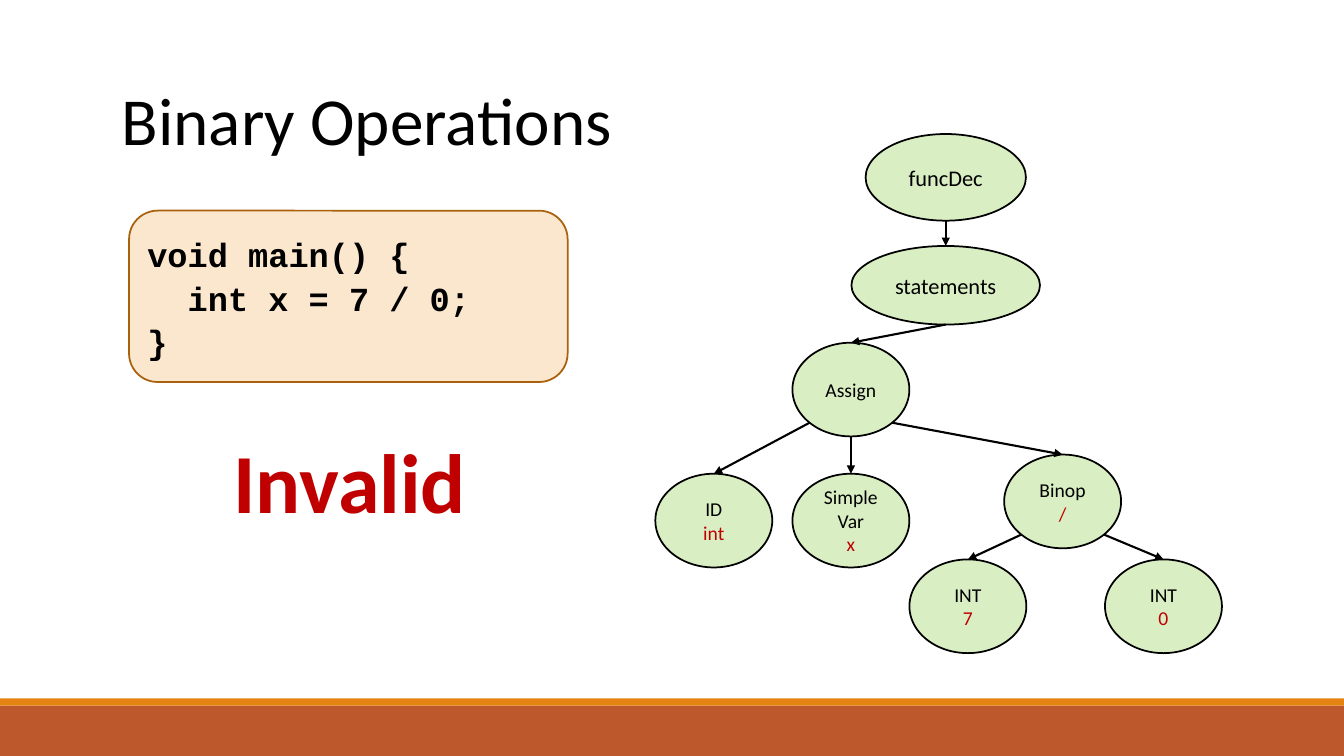
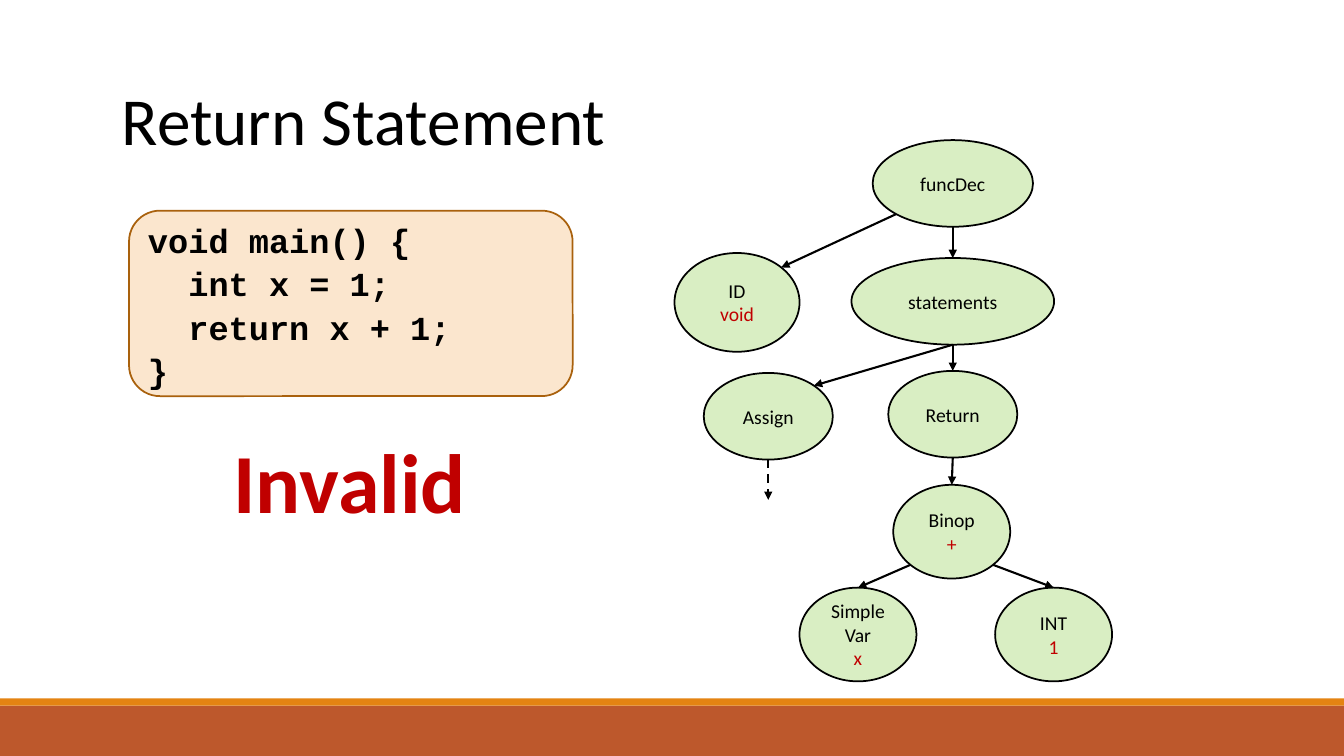
from lxml import etree
from pptx import Presentation
from pptx import util as u
from pptx.dml.color import RGBColor
from pptx.enum import dml, shapes, text
from pptx.oxml.ns import qn

BLACK = RGBColor(0x00, 0x00, 0x00)
RED = RGBColor(0xC0, 0x00, 0x00)
GREEN = RGBColor(0x92, 0xD0, 0x50)
CREAM = RGBColor(0xFB, 0xE6, 0xCE)
BROWN = RGBColor(0xA9, 0x61, 0x0D)
RUST = RGBColor(0xBD, 0x58, 0x2C)
ORANGE = RGBColor(0xE4, 0x83, 0x12)

SANS, MONO = "Calibri", "Courier New"
WIDE, HIGH = 13.33, 7.5
DIAG = 0.5 ** 0.5

# Points on an ellipse, as shares of its half width and half height
SITES = {
    "top": (0, -1),
    "base": (0, 1),
    "left": (-DIAG, DIAG),
    "right": (DIAG, DIAG),
    "crest": (DIAG, -DIAG),
}


def point(node, site):
    dx, dy = SITES[site]
    return (int(node.left + node.width * (1 + dx) / 2),
            int(node.top + node.height * (1 + dy) / 2))


class Deck:
    """Holds the shared style and the current slide."""

    def __init__(self):
        self.prs = Presentation()
        self.prs.slide_width = u.Inches(WIDE)
        self.prs.slide_height = u.Inches(HIGH)
        self.slide = None

    def page(self, title):
        self.slide = self.prs.slides.add_slide(self.prs.slide_layouts[6])
        self.shape("RECTANGLE", (0, 7, WIDE, 0.5), RUST)
        self.shape("RECTANGLE", (0, 6.93, WIDE, 0.07), ORANGE)
        self.label((1.11, 0.73, 11.09, 0.91), title, 48)

    def shape(self, kind, box, fill, line=None):
        item = self.slide.shapes.add_shape(
            shapes.MSO_SHAPE[kind], *map(u.Inches, box))
        item.shadow.inherit = False
        item.fill.solid()
        item.fill.fore_color.rgb = fill
        if line is None:
            item.line.fill.background()
        else:
            item.line.color.rgb = line
            item.line.width = u.Pt(1.25)
        return item

    def letter(self, item, lines, size, align, font=SANS, bold=False,
               space=None):
        """Set (words, colour) lines, one paragraph each."""
        frame = item.text_frame
        frame.word_wrap = True
        for i, (words, color) in enumerate(lines):
            para = frame.add_paragraph() if i else frame.paragraphs[0]
            para.alignment = align
            para.line_spacing = space
            run = para.add_run()
            run.text = words
            run.font.name = font
            run.font.size = u.Pt(size)
            run.font.bold = bold
            run.font.color.rgb = color

    def label(self, box, words, size, color=BLACK, bold=False,
              align=text.PP_ALIGN.LEFT):
        item = self.slide.shapes.add_textbox(*map(u.Inches, box))
        self.letter(item, [(words, color)], size, align, bold=bold)

    def verdict(self, words):
        self.label((1.94, 4.21, 3.06, 1.11), words, 60, RED, True,
                   text.PP_ALIGN.CENTER)

    def code(self, wide, high, *lines):
        item = self.shape("ROUNDED_RECTANGLE", (1.28, 2.09, wide, high),
                          CREAM, BROWN)
        item.text_frame.vertical_anchor = text.MSO_ANCHOR.MIDDLE
        self.letter(item, [(line, BLACK) for line in lines], 24,
                    text.PP_ALIGN.LEFT, MONO, True, 1.08)

    def node(self, mid, top, *names, value=None, wide=1.16, high=0.93, size=14):
        """Draw a tree node centred on mid; its value goes last, in red."""
        item = self.shape("OVAL", (mid - wide / 2, top, wide, high),
                          GREEN, BLACK)
        tint = item.element.spPr.find(qn("a:solidFill")).find(qn("a:srgbClr"))
        etree.SubElement(tint, qn("a:alpha")).set("val", "34000")
        item.text_frame.vertical_anchor = text.MSO_ANCHOR.MIDDLE
        lines = [(name, BLACK) for name in names]
        if value:
            lines.append((value, RED))
        self.letter(item, lines, size, text.PP_ALIGN.CENTER)
        return item

    def arrow(self, start, end, dash=False):
        item = self.slide.shapes.add_connector(
            shapes.MSO_CONNECTOR.STRAIGHT, *start, *end)
        item.line.color.rgb = BLACK
        item.line.width = u.Pt(1.5)
        if dash:
            item.line.dash_style = dml.MSO_LINE.DASH
        props = item.element.spPr
        head = etree.SubElement(props.find(qn("a:ln")), qn("a:tailEnd"))
        head.set("type", "triangle")
        etree.SubElement(props, qn("a:effectLst"))

    def edge(self, top, low, out="base", into="top"):
        self.arrow(point(top, out), point(low, into))

    def stub(self, node, drop):
        x, y = point(node, "base")
        self.arrow((x, y), (x, y + u.Inches(drop)), dash=True)


def binary(deck):
    deck.page("Binary Operations")
    deck.verdict("Invalid")
    deck.code(4.35, 1.7, "void main() {", "  int x = 7 / 0;", "}")

    # Tree nodes
    func = deck.node(9.38, 1.33, "funcDec", wide=1.59, high=0.86, size=16)
    body = deck.node(9.38, 2.44, "statements", wide=1.87, high=0.78, size=16)
    assign = deck.node(8.44, 3.4, "Assign")
    kind = deck.node(7.08, 4.7, "ID", value="int")
    var = deck.node(8.44, 4.7, "Simple", "Var", value="x")
    binop = deck.node(10.54, 4.51, "Binop", value="/")
    seven = deck.node(9.6, 5.55, "INT", value="7")
    zero = deck.node(11.54, 5.55, "INT", value="0")

    # Tree edges
    deck.edge(func, body)
    deck.edge(body, assign)
    deck.edge(assign, kind, "left")
    deck.edge(assign, var)
    deck.edge(assign, binop, "right")
    deck.edge(binop, seven, "left")
    deck.edge(binop, zero, "right")


def returns(deck):
    deck.page("Return Statement")
    deck.verdict("Invalid")
    deck.code(4.4, 1.84, "void main() {", "  int x = 1;",
              "  return x + 1;", "}")

    # Tree nodes
    func = deck.node(9.45, 1.39, "funcDec", wide=1.59, high=0.86)
    kind = deck.node(7.31, 2.51, "ID", value="void", wide=1.24, high=0.98)
    body = deck.node(9.45, 2.56, "statements", wide=2.01, high=0.86)
    assign = deck.node(7.62, 3.7, "Assign", wide=1.28, high=0.86)
    back = deck.node(9.45, 3.68, "Return", wide=1.28, high=0.86)
    binop = deck.node(9.44, 4.81, "Binop", value="+")
    var = deck.node(8.51, 5.83, "Simple", "Var", value="x")
    one = deck.node(10.45, 5.83, "INT", value="1")

    # Tree edges
    deck.edge(func, kind, "left", "crest")
    deck.edge(func, body)
    deck.edge(body, assign, into="crest")
    deck.edge(body, back)
    deck.edge(back, binop)
    deck.edge(binop, var, "left")
    deck.edge(binop, one, "right")
    deck.stub(assign, 0.4)


def main():
    deck = Deck()
    binary(deck)
    returns(deck)
    deck.prs.save("out.pptx")


if __name__ == "__main__":
    main()
